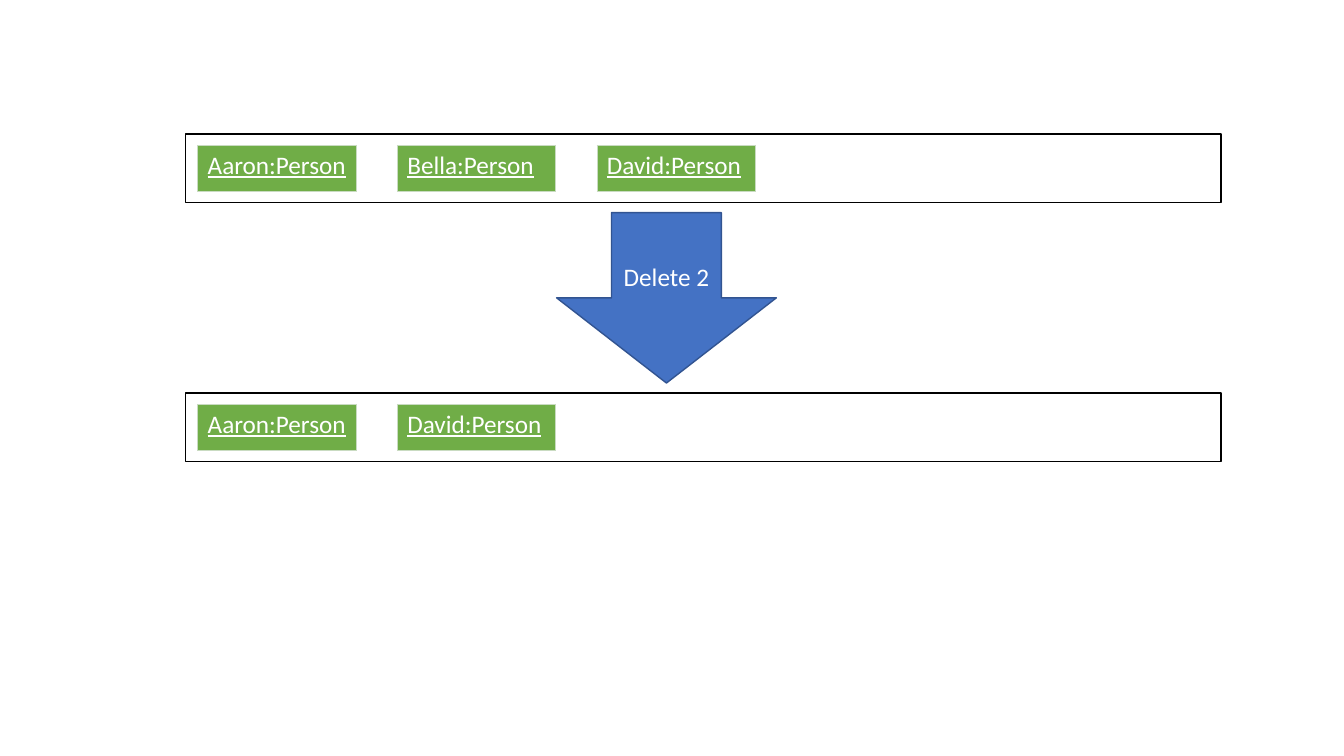
from lxml import etree
from pptx import Presentation
from pptx.dml.color import RGBColor
from pptx.enum import shapes, text
from pptx.oxml import ns
from pptx.util import Inches, Pt

WHITE = RGBColor(0xFF, 0xFF, 0xFF)
BLACK = RGBColor(0x00, 0x00, 0x00)
GREEN = RGBColor(0x70, 0xAD, 0x47)
PALE_GREEN = RGBColor(0xC9, 0xDB, 0xC1)
BLUE = RGBColor(0x44, 0x72, 0xC4)
DARK_BLUE = RGBColor(0x32, 0x54, 0x91)

LIST_LEFT, LIST_WIDTH, LIST_HEIGHT = 1.84, 10.27, 0.68
PERSON_WIDTH, PERSON_HEIGHT, PERSON_STEP = 1.57, 0.46, 1.98
PERSON_INSET = 0.12


def style_text(para, underline=False):
    for span in para.runs:
        span.font.name = "Calibri"
        span.font.size = Pt(18)
        span.font.bold = False
        span.font.underline = underline
        span.font.color.rgb = WHITE


def add_outlined_shape(page, kind, box, line_color):
    shape = page.shapes.add_shape(kind, *map(Inches, box))
    shape.shadow.inherit = False
    shape.line.color.rgb = line_color
    shape.line.width = Pt(1)
    return shape


def set_borders(cell, color, width):
    properties = cell._tc.get_or_add_tcPr()
    for side in ("a:lnL", "a:lnR", "a:lnT", "a:lnB"):
        line = etree.SubElement(properties, ns.qn(side), w=str(Pt(width)))
        fill = etree.SubElement(line, ns.qn("a:solidFill"))
        etree.SubElement(fill, ns.qn("a:srgbClr"), val=str(color))


def add_person(page, name, box):
    table = page.shapes.add_table(1, 1, *map(Inches, box)).table
    table.first_row = False
    table.horz_banding = False
    cell = table.cell(0, 0)
    set_borders(cell, PALE_GREEN, 0.5)
    cell.fill.solid()
    cell.fill.fore_color.rgb = GREEN
    cell.text_frame.text = f"{name}:Person"
    style_text(cell.text_frame.paragraphs[0], underline=True)


def add_person_list(page, names, box):
    frame = add_outlined_shape(page, shapes.MSO_SHAPE.RECTANGLE, box, BLACK)
    frame.fill.background()
    left, top, width, height = box
    person_top = top + (height - PERSON_HEIGHT) / 2
    for index, name in enumerate(names):
        person_left = left + PERSON_INSET + index * PERSON_STEP
        add_person(page, name, (person_left, person_top, PERSON_WIDTH, PERSON_HEIGHT))


def add_step_arrow(page, label, box):
    arrow = add_outlined_shape(page, shapes.MSO_SHAPE.DOWN_ARROW, box, DARK_BLUE)
    arrow.fill.solid()
    arrow.fill.fore_color.rgb = BLUE
    arrow.text_frame.text = label
    arrow.text_frame.vertical_anchor = text.MSO_ANCHOR.MIDDLE
    para = arrow.text_frame.paragraphs[0]
    para.alignment = text.PP_ALIGN.CENTER
    style_text(para)


def build_delete_slide(deck):
    page = deck.slides.add_slide(deck.slide_layouts[6])
    add_person_list(page, ("Aaron", "Bella", "David"),
                    (LIST_LEFT, 1.33, LIST_WIDTH, LIST_HEIGHT))
    add_step_arrow(page, "Delete 2", (5.52, 2.11, 2.18, 1.69))
    add_person_list(page, ("Aaron", "David"),
                    (LIST_LEFT, 3.9, LIST_WIDTH, LIST_HEIGHT))


deck = Presentation()
deck.slide_width = Inches(13.33)
deck.slide_height = Inches(7.5)
build_delete_slide(deck)
deck.save("out.pptx")
